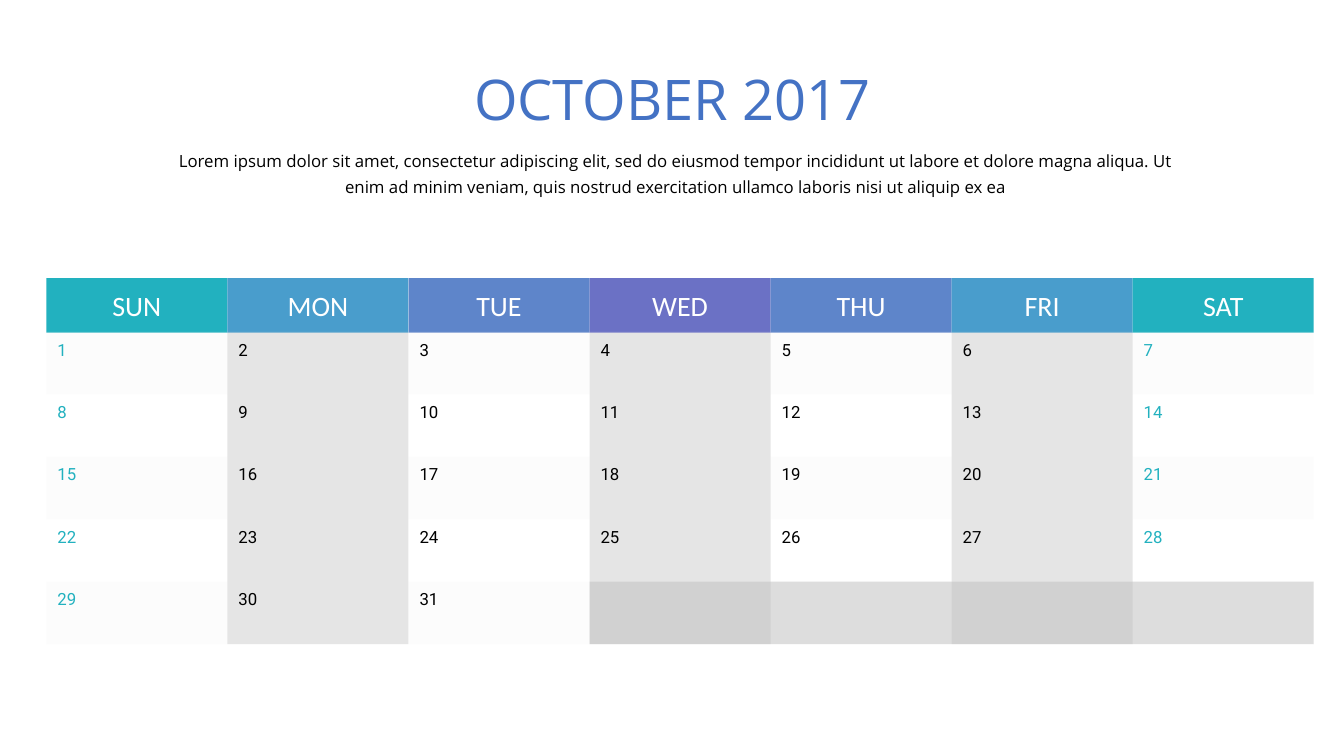
from dataclasses import dataclass

import lxml.etree
import pptx
import pptx.dml.color
import pptx.enum.shapes
import pptx.enum.text
import pptx.oxml.ns
import pptx.util

Inches = pptx.util.Inches
Align = pptx.enum.text.PP_ALIGN
Anchor = pptx.enum.text.MSO_ANCHOR


@dataclass(frozen=True)
class Theme:
    title: str = "4472C4"
    ink: str = "000000"
    white: str = "FFFFFF"
    weekend: str = "22B1BF"
    outer: str = "499DCC"
    inner: str = "5E85CA"
    midweek: str = "6B71C5"
    stripe: str = "E7E6E6"
    unused: str = "BFBFBF"
    heading_font: str = "Open Sans"
    weekday_font: str = "Calibri"
    date_font: str = "Roboto"
    title_size: int = 40
    weekday_size: int = 20
    body_size: int = 12


THEME = Theme()
WEEKDAYS = [
    ("SUN", THEME.weekend),
    ("MON", THEME.outer),
    ("TUE", THEME.inner),
    ("WED", THEME.midweek),
    ("THU", THEME.inner),
    ("FRI", THEME.outer),
    ("SAT", THEME.weekend),
]
DAYS = 31
WEEKS = 5
LEFT, WIDTH = 0.46, 12.57
COLUMN = WIDTH / len(WEEKDAYS)
HEADER_TOP, HEADER_HEIGHT = 2.76, 0.54
GRID_TOP, ROW = 3.29, 0.62


def column_left(column):
    return LEFT + column * COLUMN


def row_top(week):
    return GRID_TOP + week * ROW


def write(shape, text, *, font, size, color, align=Align.LEFT,
          anchor=Anchor.MIDDLE, inset=0.06, spacing=1.0, wrap=True):
    frame = shape.text_frame
    frame.auto_size = pptx.enum.text.MSO_AUTO_SIZE.NONE
    frame.word_wrap = wrap
    frame.vertical_anchor = anchor
    frame.margin_left = frame.margin_right = Inches(inset)
    frame.margin_top = frame.margin_bottom = Inches(inset)
    paragraph = frame.paragraphs[0]
    paragraph.text = text
    paragraph.alignment = align
    paragraph.line_spacing = spacing
    paragraph.font.name = font
    paragraph.font.size = pptx.util.Pt(size)
    paragraph.font.color.rgb = pptx.dml.color.RGBColor.from_string(color)


def add_block(slide, left, top, width, height, color, opacity=100):
    """Add a borderless rectangle; opacity is a percentage."""
    block = slide.shapes.add_shape(
        pptx.enum.shapes.MSO_SHAPE.RECTANGLE,
        Inches(left), Inches(top), Inches(width), Inches(height))
    block.shadow.inherit = False
    block.line.fill.background()
    block.fill.solid()
    block.fill.fore_color.rgb = pptx.dml.color.RGBColor.from_string(color)
    if opacity < 100:
        qn = pptx.oxml.ns.qn
        tint = block.fill._xPr.find(qn("a:solidFill")).find(qn("a:srgbClr"))
        lxml.etree.SubElement(tint, qn("a:alpha"), val=str(opacity * 1000))
    return block


def add_text(slide, left, top, width, height, text, **style):
    box = slide.shapes.add_textbox(
        Inches(left), Inches(top), Inches(width), Inches(height))
    write(box, text, **style)


def add_heading(slide):
    title = slide.shapes.title
    title.left, title.top = Inches(4.66), Inches(0.64)
    title.width, title.height = Inches(4.02), Inches(0.67)
    write(title, "OCTOBER 2017", font=THEME.heading_font,
          size=THEME.title_size, color=THEME.title, align=Align.CENTER,
          anchor=Anchor.TOP, inset=0, wrap=False)
    add_text(slide, 1.71, 1.45, 9.99, 0.5,
             "Lorem ipsum dolor sit amet, consectetur adipiscing elit, sed do "
             "eiusmod tempor incididunt ut labore et dolore magna aliqua. Ut "
             "enim ad minim veniam, quis nostrud exercitation ullamco laboris "
             "nisi ut aliquip ex ea",
             font=THEME.heading_font, size=THEME.body_size, color=THEME.ink,
             align=Align.CENTER, anchor=Anchor.TOP, inset=0, spacing=1.25)


def add_shaded_columns(slide):
    for column in range(1, len(WEEKDAYS), 2):
        add_block(slide, column_left(column), GRID_TOP, COLUMN, WEEKS * ROW,
                  THEME.ink, opacity=10)


def add_weekdays(slide):
    for column, (weekday, color) in enumerate(WEEKDAYS):
        header = add_block(slide, column_left(column), HEADER_TOP,
                           COLUMN, HEADER_HEIGHT, color)
        write(header, weekday, font=THEME.weekday_font,
              size=THEME.weekday_size, color=THEME.white, align=Align.CENTER)


def add_week_stripes(slide):
    for week in range(0, WEEKS, 2):
        add_block(slide, LEFT, row_top(week), WIDTH, ROW,
                  THEME.stripe, opacity=10)
    used = DAYS % len(WEEKDAYS)
    add_block(slide, column_left(used), row_top(WEEKS - 1),
              WIDTH - used * COLUMN, ROW, THEME.unused, opacity=50)


def add_dates(slide):
    for day in range(1, DAYS + 1):
        week, column = divmod(day - 1, len(WEEKDAYS))
        weekend = column in (0, len(WEEKDAYS) - 1)
        add_text(slide, column_left(column) + 0.05, row_top(week), 0.66, 0.35,
                 str(day), font=THEME.date_font, size=THEME.body_size,
                 color=THEME.weekend if weekend else THEME.ink)


def main():
    presentation = pptx.Presentation()
    presentation.slide_width = Inches(13.33)
    presentation.slide_height = Inches(7.5)
    title_only = presentation.slide_layouts[5]
    slide = presentation.slides.add_slide(title_only)
    add_heading(slide)
    add_shaded_columns(slide)
    add_weekdays(slide)
    add_week_stripes(slide)
    add_dates(slide)
    presentation.save("out.pptx")


if __name__ == "__main__":
    main()
